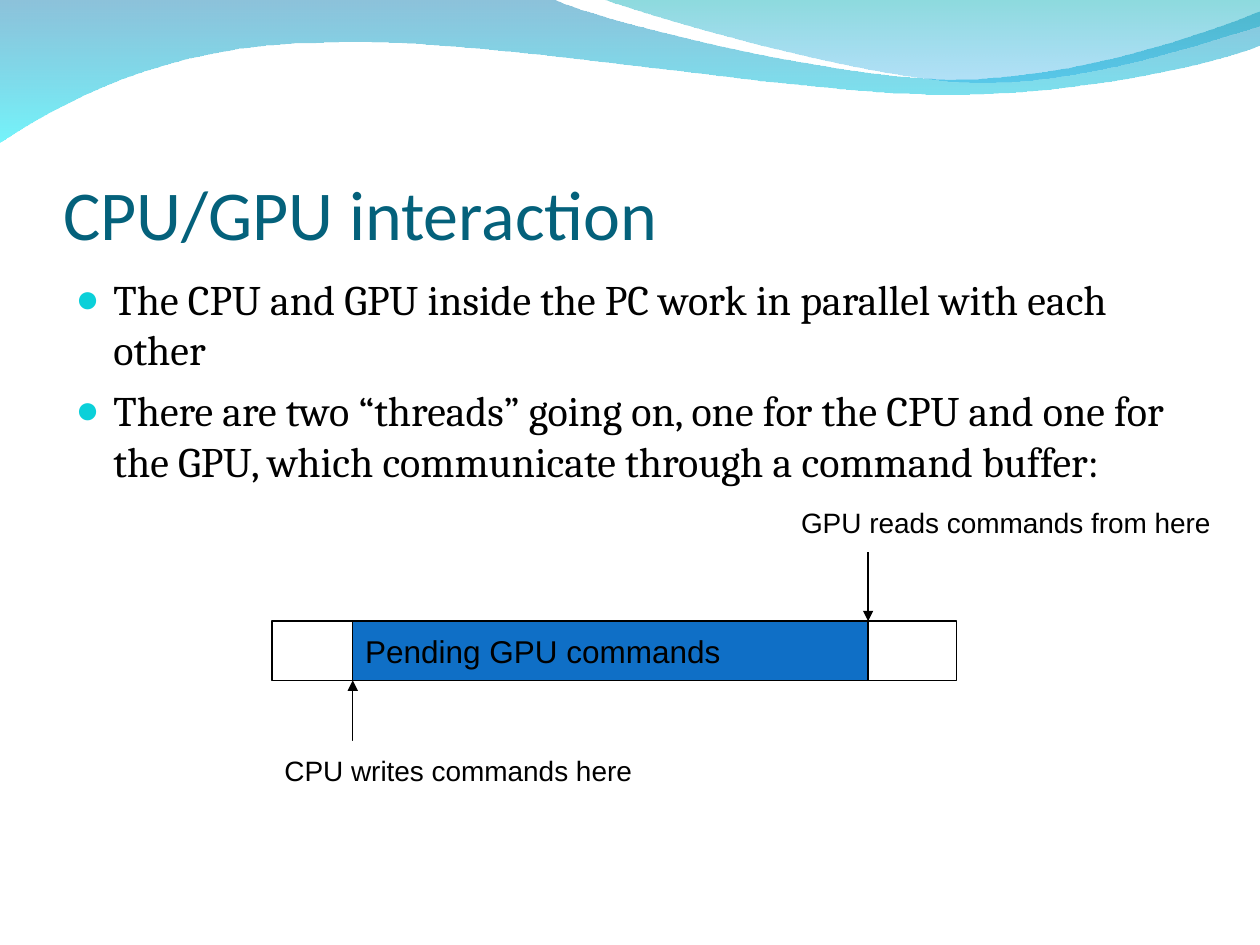
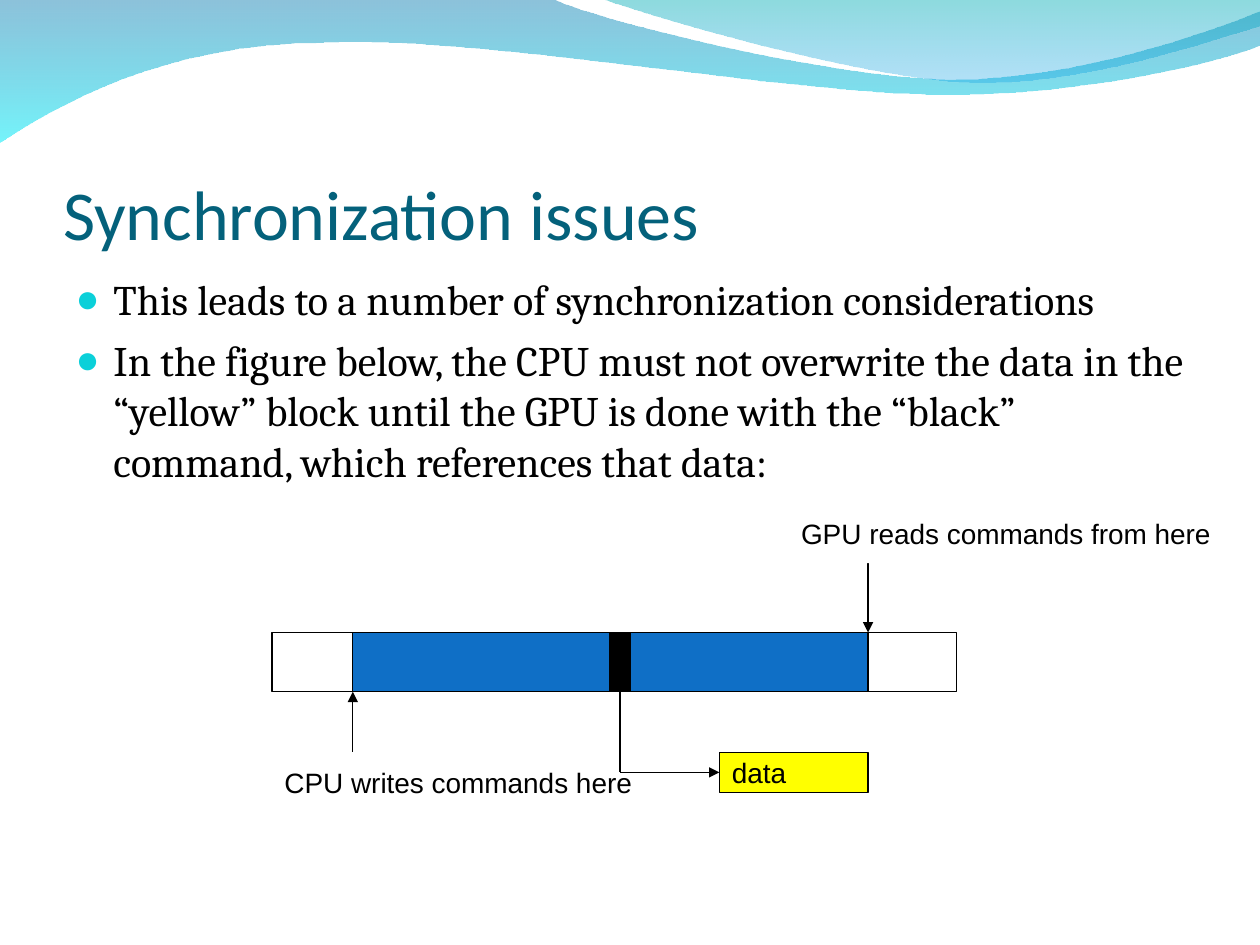
from lxml import etree
from pptx import Presentation
from pptx.dml.color import RGBColor
from pptx.enum.shapes import MSO_CONNECTOR, MSO_SHAPE
from pptx.enum.text import MSO_ANCHOR as Anchor, PP_ALIGN as Align
from pptx.oxml.ns import qn
from pptx.util import Inches, Pt

BLACK, WHITE, YELLOW = "000000", "FFFFFF", "FFFF00"
PENDING_BLUE, TITLE_TEAL, BULLET_CYAN = "0F6FC6", "04617B", "0BD0D9"
TITLE_FONT, BODY_FONT, LABEL_FONT = "Calibri", "Cambria", "Arial"
LEFT, BOTTOM = 1, 2

# Each wave: gradient stops (colour, opacity in percent), then its outline
# in hundredths of an inch. A single point is a straight line, three points
# are a cubic curve.
WAVES = [
    ([("0079AF", 45), ("00EBF8", 55)],
     [[(0, 0)], [(440, 0)],
      [(476, 17), (664, 63), (758, 63)],
      [(853, 63), (958, 26), (1000, 9)],
      [(1000, 36)],
      [(983, 44), (870, 76), (746, 75)],
      [(622, 75), (382, 28), (257, 34)],
      [(129, 35), (46, 83), (0, 113)]]),
    ([("00ADB6", 45), ("009BE5", 30)],
     [[(479, 0)],
      [(509, 11), (682, 62), (769, 65)],
      [(856, 69), (961, 32), (1000, 21)],
      [(1000, 0)]]),
]


def color(value):
    return RGBColor.from_string(value)


def add_child(parent, tag, **attributes):
    return etree.SubElement(parent, qn(tag), attributes)


def write(para, text, font, size, fill=BLACK, align=Align.LEFT, before=0):
    """Add one formatted run to a paragraph."""
    para.alignment = align
    para.space_before = Pt(before)
    span = para.add_run()
    span.text = text
    span.font.name = font
    span.font.size = Pt(size)
    span.font.color.rgb = color(fill)


def place(shape, left, top, width, height):
    shape.left, shape.top = Inches(left), Inches(top)
    shape.width, shape.height = Inches(width), Inches(height)


def bend_sides(wave, outline):
    """Turn the straight sides that have control points into cubic curves."""
    start_x = outline[0][0][0]
    sides = list(wave.element.iter(qn("a:lnTo")))
    for side, points in zip(sides, outline[1:]):
        if len(points) == 3:
            curve = etree.Element(qn("a:cubicBezTo"))
            for x, y in points:
                add_child(curve, "a:pt", x=str(x - start_x), y=str(y))
            side.getparent().replace(side, curve)


def add_wave(page, stops, outline):
    corners = [points[-1] for points in outline]
    builder = page.shapes.build_freeform(*corners[0], scale=Inches(0.01))
    builder.add_line_segments(corners[1:], close=True)
    wave = builder.convert_to_shape()
    bend_sides(wave, outline)
    wave.shadow.inherit = False
    wave.line.fill.background()
    wave.fill.gradient()
    wave.fill.gradient_angle = 270
    for stop, (tint, _) in zip(wave.fill.gradient_stops, stops):
        stop.color.rgb = color(tint)
    for node, (_, opacity) in zip(wave.element.iter(qn("a:srgbClr")), stops):
        add_child(node, "a:alpha", val=str(opacity * 1000))
    return wave


def add_master_waves(deck, page):
    """Draw the waves and move them behind everything on the master."""
    tree = deck.slide_master.shapes.element
    for position, (stops, outline) in enumerate(WAVES, start=2):
        wave = add_wave(page, stops, outline).element
        wave.nvSpPr.cNvPr.set("id", str(100 + position))
        tree.insert(position, wave)


def add_bullet(para, text, before):
    props = para._p.get_or_add_pPr()
    props.set("marL", str(Inches(0.3)))
    props.set("indent", str(-Inches(0.3)))
    add_child(add_child(props, "a:buClr"), "a:srgbClr", val=BULLET_CYAN)
    add_child(props, "a:buSzPct", val="95000")
    add_child(props, "a:buChar", char="●")
    write(para, text, BODY_FONT, 24, before=before)


def add_page(deck, title, bullets):
    page = deck.slides.add_slide(deck.slide_layouts[1])
    heading, body = page.shapes.title, page.placeholders[1]

    place(heading, 0.5, 0.77, 9, 1.25)
    frame = heading.text_frame
    frame.vertical_anchor = Anchor.BOTTOM
    frame.margin_left = frame.margin_right = frame.margin_bottom = 0
    frame.margin_top = Inches(0.05)
    write(frame.paragraphs[0], title, TITLE_FONT, 40, fill=TITLE_TEAL)

    place(body, 0.5, 2.12, 9, 4.8)
    frame = body.text_frame
    for number, bullet in enumerate(bullets):
        para = frame.add_paragraph() if number else frame.paragraphs[0]
        add_bullet(para, bullet, before=6 if number else 0)
    return page


def add_block(page, left, top, width, height, fill=WHITE, outlined=True,
              text="", size=16):
    block = page.shapes.add_shape(
        MSO_SHAPE.RECTANGLE, *map(Inches, (left, top, width, height)))
    block.shadow.inherit = False
    block.fill.solid()
    block.fill.fore_color.rgb = color(fill)
    if outlined:
        block.line.color.rgb = color(BLACK)
        block.line.width = Pt(0.75)
    else:
        block.line.fill.background()
    if text:
        frame = block.text_frame
        frame.word_wrap = False
        frame.vertical_anchor = Anchor.MIDDLE
        write(frame.paragraphs[0], text, LABEL_FONT, size)
    return block


def add_line(page, start, end, arrow=True):
    line = page.shapes.add_connector(
        MSO_CONNECTOR.STRAIGHT, *map(Inches, (*start, *end)))
    line.line.color.rgb = color(BLACK)
    line.line.width = Pt(0.75)
    if arrow:
        add_child(line.line._get_or_add_ln(), "a:tailEnd", type="triangle")
    add_child(line.element.spPr, "a:effectLst")
    return line


def draw_buffer(page, left, top, pending_text=""):
    """Command buffer with its read and write positions."""
    height = 0.47
    buffer_top = top + 1.02
    buffer_bottom = buffer_top + height
    write_x, read_x = left + 0.64, left + 4.73
    label_top = top + 1.97

    add_block(page, left, buffer_top, 5.43, height)
    add_line(page, (read_x, top + height), (read_x, buffer_top))
    add_line(page, (write_x, label_top), (write_x, buffer_bottom))
    add_block(page, left, label_top, 1.26, height, outlined=False,
              text="CPU writes commands here")
    add_block(page, left + 4.1, top, 1.26, height, outlined=False,
              text="GPU reads commands from here")
    add_block(page, write_x, buffer_top, read_x - write_x, height,
              fill=PENDING_BLUE, text=pending_text, size=18)


def draw_data_reference(page, left, top):
    """Black command in the buffer that points to the yellow data block."""
    command = add_block(page, left + 2.68, top + 1.02, 0.16, 0.47, fill=BLACK)
    bend = (left + 2.76, top + 2.13)
    data_left = left + 3.55
    stem = add_line(page, (bend[0], top + 1.49), bend, arrow=False)
    stem.begin_connect(command, BOTTOM)
    pointer = add_line(page, bend, (data_left, bend[1]))
    data = add_block(page, data_left, top + 1.97, 1.18, 0.32, fill=YELLOW,
                     text="data")
    pointer.end_connect(data, LEFT)


def main():
    deck = Presentation()
    deck.slide_width, deck.slide_height = Inches(10), Inches(7.5)

    interaction = add_page(deck, "CPU/GPU interaction", [
        "The CPU and GPU inside the PC work in parallel with each other",
        "There are two “threads” going on, one for the CPU and one for the GPU, "
        "which communicate through a command buffer:",
    ])
    add_master_waves(deck, interaction)
    draw_buffer(interaction, 2.16, 3.91, pending_text="Pending GPU commands")

    synchronization = add_page(deck, "Synchronization issues", [
        "This leads to a number of synchronization considerations",
        "In the figure below, the CPU must not overwrite the data in the “yellow” "
        "block until the GPU is done with the “black” command, which references "
        "that data:",
    ])
    draw_buffer(synchronization, 2.16, 4)
    draw_data_reference(synchronization, 2.16, 4)

    deck.save("out.pptx")


if __name__ == "__main__":
    main()
